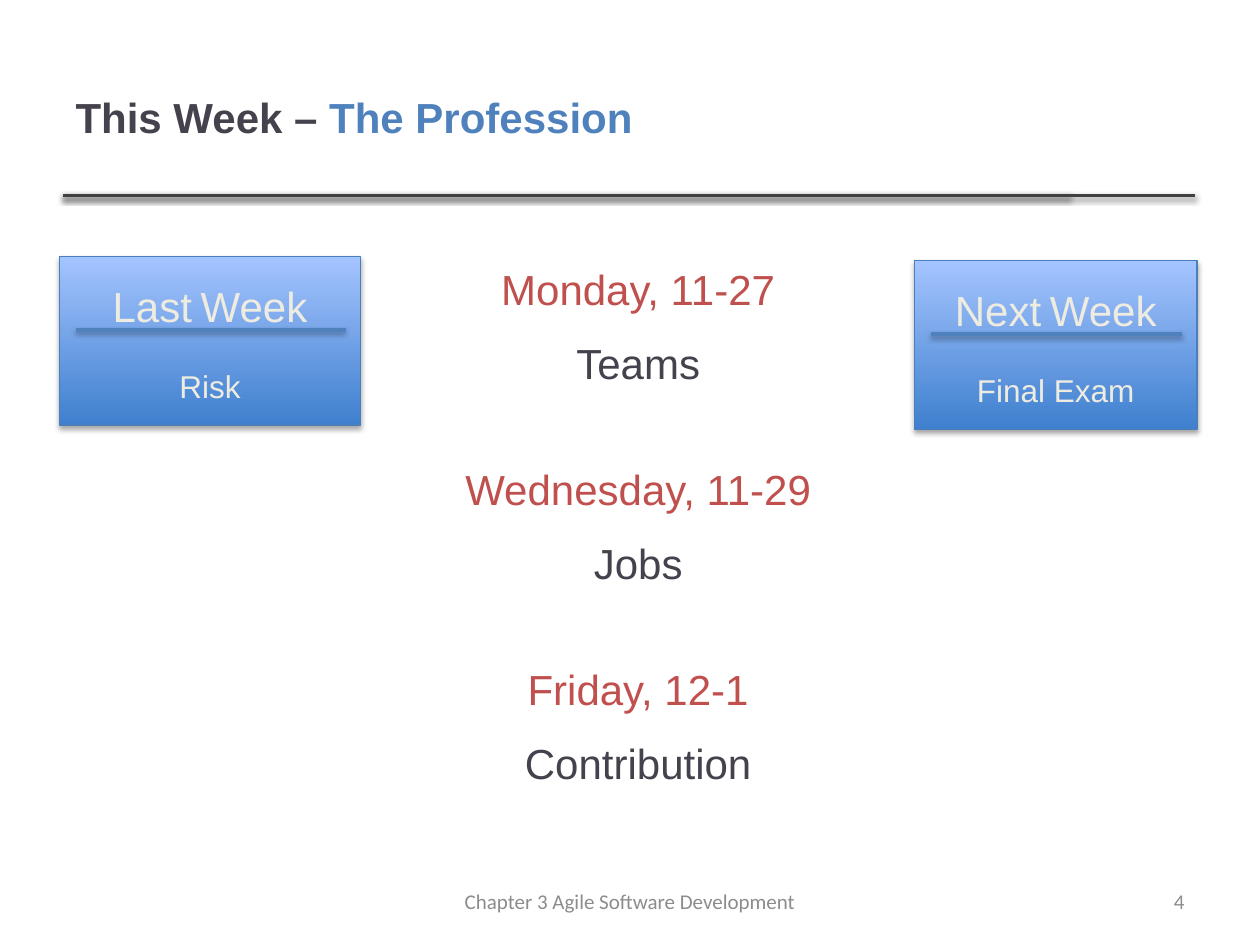
from lxml.etree import SubElement
from pptx import Presentation
from pptx.dml.color import RGBColor
from pptx.enum.shapes import MSO_CONNECTOR, MSO_SHAPE
from pptx.enum.text import MSO_ANCHOR as ANCHOR, PP_ALIGN as ALIGN
from pptx.oxml.ns import qn
from pptx.util import Pt

COLORS = {
    "ink": "46424D", "blue": "4F81BD", "red": "C0504D", "cream": "EEECE1",
    "gray": "8C8C8C", "rule": "404040", "edge": "4B7EBC",
    "card_low": "3F80CE", "card_high": "A4C4FF", "shade": "000000",
}


def color(name):
    return RGBColor.from_string(COLORS[name])


def add_shadow(shape, opacity, distance):
    properties = shape._element.spPr
    for old in properties.findall(qn("a:effectLst")):
        properties.remove(old)
    effects = SubElement(properties, qn("a:effectLst"))
    outer = SubElement(effects, qn("a:outerShdw"), blurRad=str(Pt(3.1)),
                       dist=str(Pt(distance)), dir="5400000", rotWithShape="0")
    shade = SubElement(outer, qn("a:srgbClr"), val=COLORS["shade"])
    SubElement(shade, qn("a:alpha"), val=str(opacity * 1000))


def add_rule(slide, left, right, y, tint):
    rule = slide.shapes.add_connector(MSO_CONNECTOR.STRAIGHT, Pt(left), Pt(y), Pt(right), Pt(y))
    rule.line.color.rgb = color(tint)
    rule.line.width = Pt(2)
    add_shadow(rule, 38, 1.6)


def write(paragraph, text, size=24, tint="ink", font="Arial", bold=False,
          align=ALIGN.CENTER, before=0, after=0, spacing=1.0):
    paragraph.alignment = align
    paragraph.space_before, paragraph.space_after = Pt(before), Pt(after)
    paragraph.line_spacing = spacing
    run = paragraph.add_run()
    run.text = text
    run.font.size, run.font.name, run.font.bold = Pt(size), font, bold
    run.font.color.rgb = color(tint)


def add_frame(slide, left, top, width, height, anchor=ANCHOR.TOP):
    frame = slide.shapes.add_textbox(Pt(left), Pt(top), Pt(width), Pt(height)).text_frame
    frame.word_wrap = True
    frame.vertical_anchor = anchor
    return frame


def add_heading(slide, left, top, width, height):
    title = slide.shapes.title
    title.left, title.top, title.width, title.height = map(Pt, (left, top, width, height))
    title.text_frame.vertical_anchor = ANCHOR.MIDDLE
    heading = title.text_frame.paragraphs[0]
    for text, tint in (("This Week – ", "ink"), ("The Profession", "blue")):
        write(heading, text, tint=tint, bold=True, align=ALIGN.LEFT)
    for overhang in (0, 72):
        add_rule(slide, left, left + width + overhang, top + height, "rule")


def add_schedule(slide, left, top, width, height, days):
    frame = add_frame(slide, left, top, width, height)
    for index, (day, topic) in enumerate(days):
        date = frame.add_paragraph() if index else frame.paragraphs[0]
        write(date, day, tint="red", before=36 if index else 6, after=6, spacing=1.05)
        write(frame.add_paragraph(), topic, before=6, after=6, spacing=1.05)


def add_week_card(slide, left, top, width, height, week, topic):
    card = slide.shapes.add_shape(MSO_SHAPE.RECTANGLE, Pt(left), Pt(top), Pt(width), Pt(height))
    card.fill.gradient()
    card.fill.gradient_angle = 90
    for stop, tint in zip(card.fill.gradient_stops, ("card_low", "card_high")):
        stop.color.rgb = color(tint)
    card.line.color.rgb = color("edge")
    card.line.width = Pt(0.75)
    add_shadow(card, 35, 1.8)

    frame = add_frame(slide, left, top + 10, width, 80)
    for text, size in ((week, 24), (" ", 18), ("Week", 24)):
        write(frame.paragraphs[0], text, size=size, tint="cream")
    write(frame.add_paragraph(), topic, size=18, tint="cream", before=20.7)
    add_rule(slide, left + 9.5, left + width - 8.5, top + 42, "blue")


def add_footer(slide, top, height):
    for left, width, text, align in (
        (246, 228, "Chapter 3 Agile Software Development", ALIGN.CENTER),
        (516, 168, "4", ALIGN.RIGHT),
    ):
        frame = add_frame(slide, left, top, width, height, ANCHOR.MIDDLE)
        write(frame.paragraphs[0], text, size=12, tint="gray", font="Calibri", align=align)


deck = Presentation()
deck.slide_width, deck.slide_height = Pt(720), Pt(540)
week_slide = deck.slides.add_slide(deck.slide_layouts[5])
add_heading(week_slide, 36, 21.6, 575, 90)
add_schedule(week_slide, 235.4, 145.5, 258.5, 273, [
    ("Monday, 11-27", "Teams"),
    ("Wednesday, 11-29", "Jobs"),
    ("Friday, 12-1", "Contribution"),
])
add_footer(week_slide, 500.5, 28.8)
add_week_card(week_slide, 522.5, 149, 161.5, 96.5, "Next", "Final Exam")
add_week_card(week_slide, 34, 146.5, 172, 96.5, "Last", "Risk")
deck.save("out.pptx")
